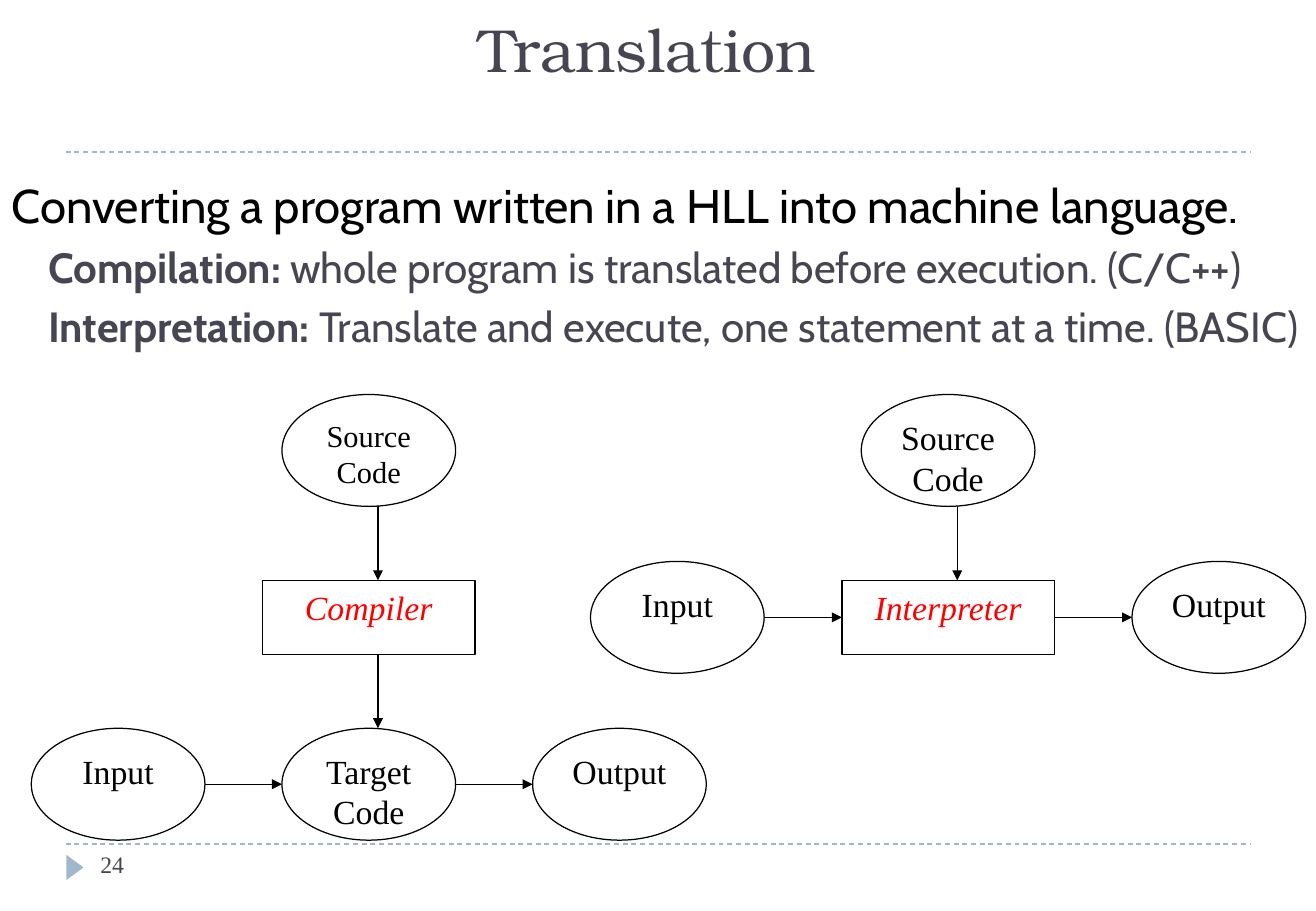
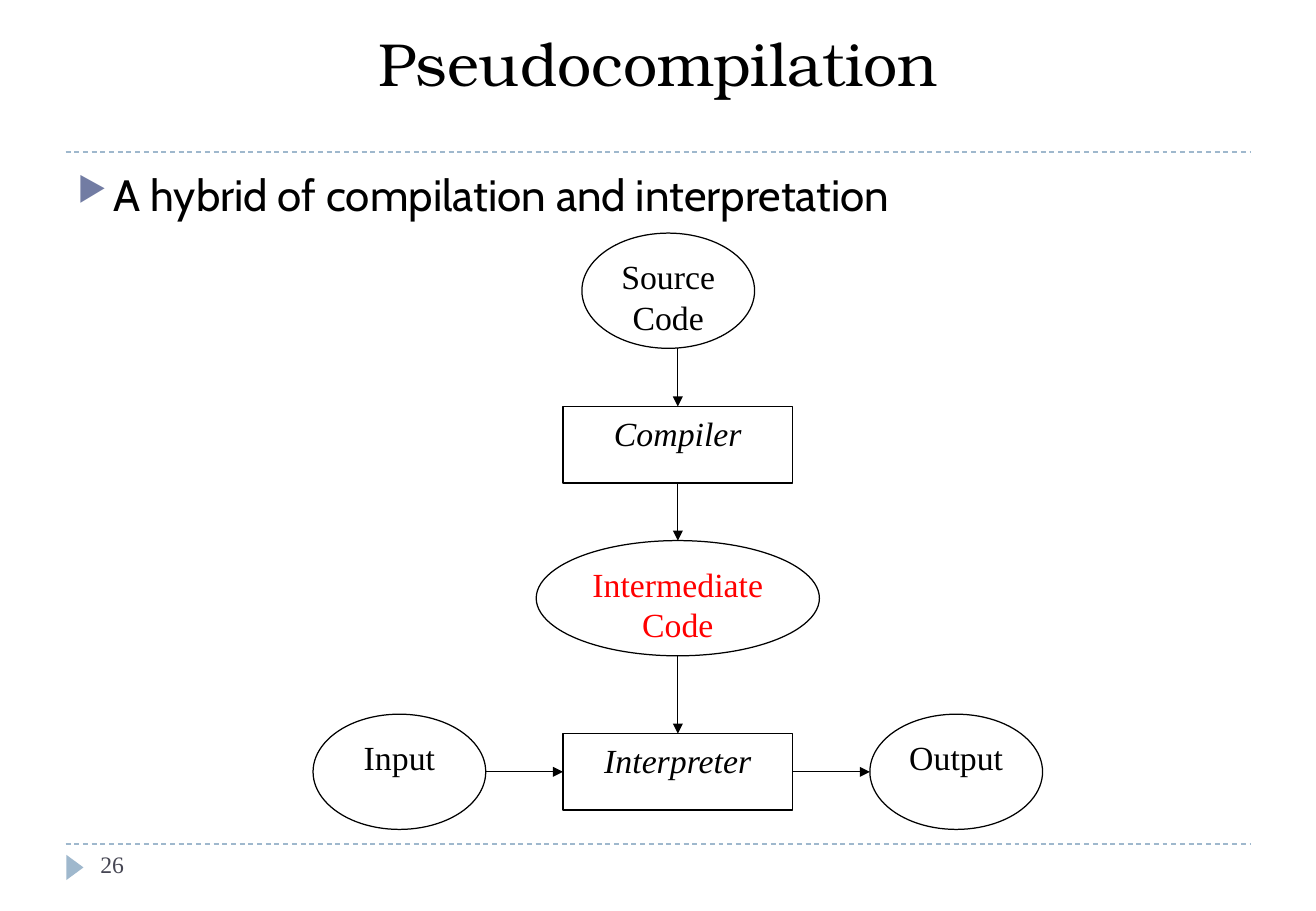
"""Build two slides on program translation: compilers, interpreters and a hybrid."""
from lxml.etree import SubElement
from pptx import Presentation
from pptx.dml.color import RGBColor
from pptx.enum.dml import MSO_LINE as Dash
from pptx.enum.shapes import MSO_CONNECTOR as Conn, MSO_SHAPE as Kind
from pptx.enum.text import MSO_ANCHOR as Anchor, PP_ALIGN as Align
from pptx.oxml.ns import qn
from pptx.util import Cm, Pt

BLACK = RGBColor(0, 0, 0)
WHITE = RGBColor(255, 255, 255)
RED = RGBColor(255, 0, 0)
SLATE = RGBColor(0x46, 0x46, 0x53)
BLUE = RGBColor(0x9F, 0xB8, 0xCD)
HEAD, BODY, SERIF = "TeX Gyre Bonum", "Cabin", "Times New Roman"


def write(shape, text, lead="", size=20, font=SERIF, color=BLACK, italic=False,
          align=Align.LEFT, anchor=Anchor.TOP, left=0, hang=0, gap=0, line=None, bullet=""):
    """Add one paragraph to a shape, with an optional bold lead."""
    frame = shape.text_frame
    frame.word_wrap, frame.vertical_anchor = True, anchor
    first = frame.paragraphs[0]
    para = frame.add_paragraph() if first.runs else first
    para.alignment, para.space_before = align, Pt(gap)
    if line:
        para.line_spacing = line
    props = para._p.get_or_add_pPr()
    props.set("marL", str(Cm(left)))
    props.set("indent", str(-Cm(hang)))
    if bullet:
        tint = SubElement(props, qn("a:buClr"))
        SubElement(tint, qn("a:srgbClr"), val="727CA3")
        SubElement(props, qn("a:buSzPct"), val="76000")
        SubElement(props, qn("a:buChar"), char=bullet)
    for part, bold in ((lead, True), (text, False)):
        if part:
            run = para.add_run()
            run.text = part
            face = run.font
            face.size, face.name, face.bold, face.italic = Pt(size), font, bold, italic
            face.color.rgb = color


def rule(shapes, x1, y1, x2, y2, color=BLACK, dash=None, arrow=True):
    """Draw a straight line, with an arrowhead at its end if wanted."""
    conn = shapes.add_connector(Conn.STRAIGHT, Cm(x1), Cm(y1), Cm(x2), Cm(y2))
    conn.line.width = Pt(0.75)
    conn.line.color.rgb = color
    if dash:
        conn.line.dash_style = dash
    props = conn.element.spPr
    if arrow:
        SubElement(props.find(qn("a:ln")), qn("a:tailEnd"), type="triangle")
    SubElement(props, qn("a:effectLst"))


deck = Presentation()
deck.slide_width, deck.slide_height = Cm(27.51), Cm(19.05)

OVAL, BOX = (Kind.OVAL, 3.63, 2.34), (Kind.RECTANGLE, 4.44, 1.55)
OVAL2, BOX2 = (Kind.OVAL, 3.61, 2.41), (Kind.RECTANGLE, 4.8, 1.6)
WIDE = (Kind.OVAL, 5.92, 2.41)

left, right, top, step = 7.71, 19.82, 9.42, 3.49
nodes1 = {
    "src": ("Source Code", OVAL, left, top, 18, BLACK),
    "comp": ("Compiler", BOX, left, top + step, 20, RED),
    "code": ("Target Code", OVAL, left, top + 2 * step, 20, BLACK),
    "in": ("Input", OVAL, left - 5.24, top + 2 * step, 20, BLACK),
    "out": ("Output", OVAL, left + 5.24, top + 2 * step, 20, BLACK),
    "src2": ("Source Code", OVAL, right, top, 20, BLACK),
    "run": ("Interpreter", BOX, right, top + step, 20, RED),
    "in2": ("Input", OVAL, right - 5.66, top + step, 20, BLACK),
    "out2": ("Output", OVAL, right + 5.66, top + step, 20, BLACK),
}
links1 = [("src", "comp"), ("comp", "code"), ("in", "code"), ("code", "out"),
          ("src2", "run"), ("in2", "run"), ("run", "out2")]

mid, base = 14.17, 16.14
nodes2 = {
    "src": ("Source Code", OVAL2, mid - 0.2, 6.08, 20, BLACK),
    "comp": ("Compiler", BOX2, mid, 9.3, 20, BLACK),
    "code": ("Intermediate Code", WIDE, mid, 12.51, 20, RED),
    "run": ("Interpreter", BOX2, mid, base, 20, BLACK),
    "in": ("Input", OVAL2, mid - 5.82, base, 20, BLACK),
    "out": ("Output", OVAL2, mid + 5.82, base, 20, BLACK),
}
links2 = [("src", "comp"), ("comp", "code"), ("code", "run"), ("in", "run"), ("run", "out")]

sub = dict(size=25, color=SLATE, left=1.52, gap=5)
text1 = [
    dict(text="Converting a program written in a HLL into machine language.",
         size=28, left=0.76, line=1.5),
    dict(lead="Compilation:", text=" whole program is translated before execution. (C/C++)", **sub),
    dict(lead="Interpretation:", text=" Translate and execute, one statement at a time. (BASIC)", **sub),
]
text2 = [dict(text="A hybrid of compilation and interpretation", size=26, left=0.76, bullet="▶")]

pages = [
    ("Translation", SLATE, (1.85, 0, 23.37, 1.9), "24", (0, 2.97, 27.94, 6.78),
     text1, nodes1, links1, 0.19),
    ("Pseudocompilation", BLACK, (1.37, 0.43, 24.77, 1.75), "26", (1.37, 3.38, 24.77, 13.72),
     text2, nodes2, links2, 0),
]

for title, ink, spot, page, area, lines, nodes, links, shift in pages:
    shapes = deck.slides.add_slide(deck.slide_layouts[6]).shapes
    for y in (17.65, 3.18):
        rule(shapes, 1.37, y, 26.14, y, BLUE, Dash.DASH, False)
    mark = shapes.add_shape(Kind.ISOSCELES_TRIANGLE, Cm(1.3), Cm(17.96), Cm(0.53), Cm(0.36))
    mark.rotation = 90
    mark.shadow.inherit = False
    mark.fill.solid()
    mark.fill.fore_color.rgb = BLUE
    mark.line.fill.background()

    head = shapes.add_textbox(*map(Cm, spot))
    write(head, title, size=36, font=HEAD, color=ink, align=Align.CENTER, anchor=Anchor.BOTTOM)
    foot = shapes.add_textbox(Cm(1.85), Cm(17.65), Cm(5.97), Cm(1.02))
    write(foot, page, size=14, color=SLATE)
    body = shapes.add_textbox(*map(Cm, area))
    for item in lines:
        write(body, font=BODY, hang=0.76, **item)

    for label, (kind, wide, high), x, y, size, color in nodes.values():
        node = shapes.add_shape(kind, Cm(x - wide / 2), Cm(y - high / 2), Cm(wide), Cm(high))
        node.shadow.inherit = False
        node.fill.solid()
        node.fill.fore_color.rgb = WHITE
        node.line.color.rgb = BLACK
        node.line.width = Pt(0.75)
        write(node, label, size=size, color=color, align=Align.CENTER,
              italic=kind == Kind.RECTANGLE)

    for start, end in links:
        _, (_, w1, h1), x1, y1, _, _ = nodes[start]
        _, (_, w2, h2), x2, y2, _, _ = nodes[end]
        if y1 == y2:
            rule(shapes, x1 + w1 / 2, y1, x2 - w2 / 2, y2)
        else:
            rule(shapes, x2 + shift, y1 + h1 / 2, x2 + shift, y2 - h2 / 2)

deck.save("out.pptx")
